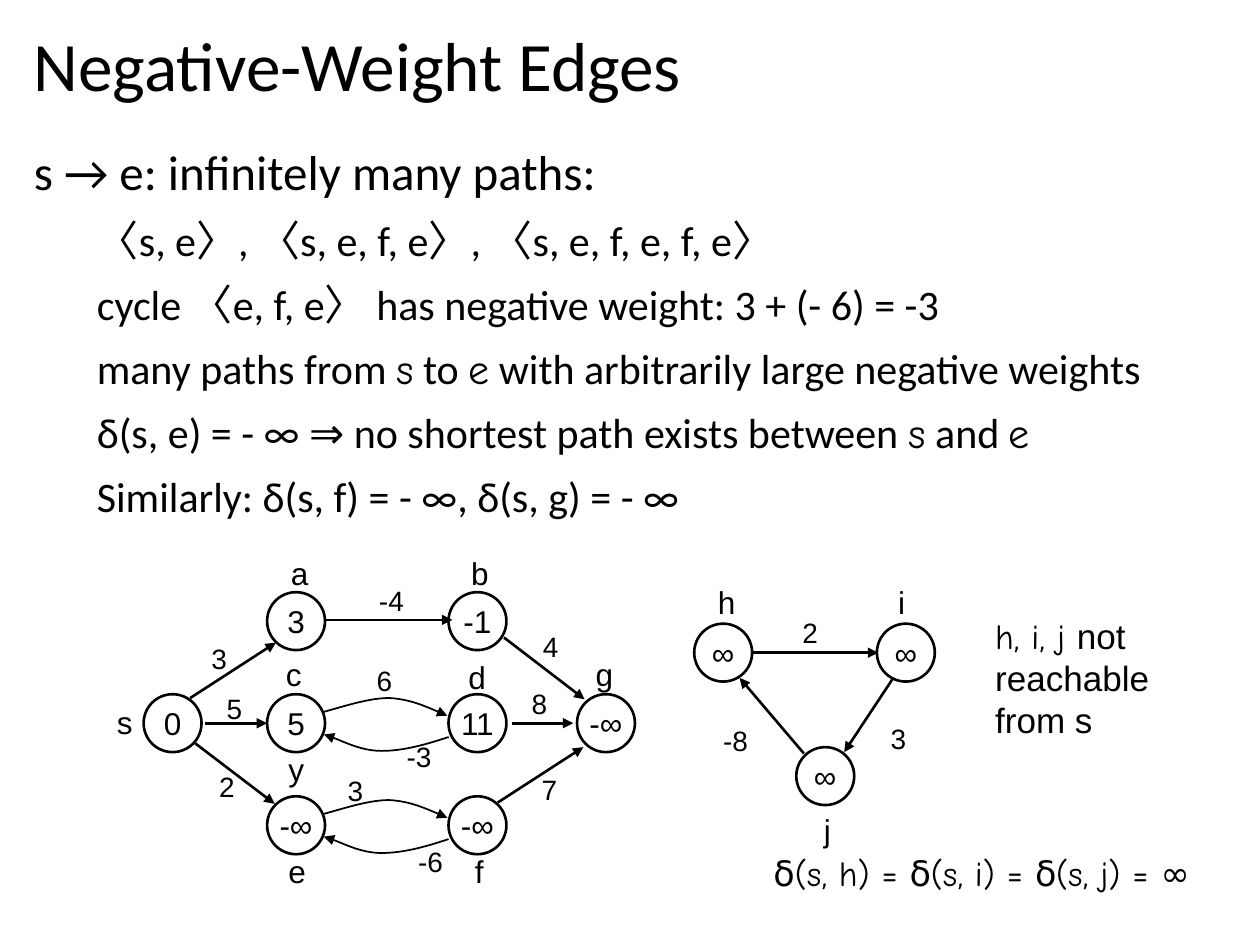
from dataclasses import dataclass

from lxml import etree
from pptx import Presentation
from pptx.dml.color import RGBColor
from pptx.enum.shapes import MSO_CONNECTOR, MSO_SHAPE
from pptx.enum.text import MSO_ANCHOR, MSO_AUTO_SIZE, PP_ALIGN
from pptx.oxml.ns import qn
from pptx.util import Inches, Pt

STRAIGHT = MSO_CONNECTOR.STRAIGHT
OVAL = MSO_SHAPE.OVAL
MIDDLE = MSO_ANCHOR.MIDDLE
TOP = MSO_ANCHOR.TOP
GROW = MSO_AUTO_SIZE.SHAPE_TO_FIT_TEXT
FIXED = MSO_AUTO_SIZE.NONE
CENTER = PP_ALIGN.CENTER

INK = "000000"
SANS, BODY, HAND = "Arial", "Calibri", "Comic Neue"
NODE_SIZE = 0.46
ROW_GAP = 0.81


@dataclass
class Node:
    value: str
    left: float
    top: float


@dataclass
class Label:
    text: str
    left: float
    top: float
    width: float


@dataclass
class Edge:
    start: tuple[float, float]
    end: tuple[float, float]


@dataclass
class Span:
    text: str
    font: str = BODY


LEFT, MID, RIGHT = 2.12, 3.56, 4.58
UPPER, CENTRE, LOWER = (4.7 + ROW_GAP * row for row in range(3))

NODES = [
    Node("∞", 5.51, 4.95), Node("∞", 6.96, 4.95), Node("∞", 6.32, 5.93),
    Node("0", 1.14, CENTRE), Node("3", LEFT, UPPER), Node("-1", MID, UPPER),
    Node("5", LEFT, CENTRE), Node("11", MID, CENTRE), Node("-∞", RIGHT, CENTRE),
    Node("-∞", LEFT, LOWER), Node("-∞", MID, LOWER),
]
NAMES = [
    Label("j", 6.44, 6.39, 0.26), Label("h", 5.6, 4.58, 0.34), Label("i", 7.03, 4.58, 0.26),
    Label("s", 0.83, 5.53, 0.33), Label("a", 2.21, 4.35, 0.34), Label("b", 3.64, 4.35, 0.34),
    Label("e", 2.19, 6.71, 0.34), Label("f", 3.67, 6.71, 0.27), Label("y", 2.19, 5.9, 0.33),
    Label("c", 2.17, 5.15, 0.33), Label("d", 3.62, 5.17, 0.34), Label("g", 4.63, 5.15, 0.34),
]
WEIGHTS = [
    Label("2", 6.27, 4.84, 0.32), Label("3", 6.97, 5.68, 0.32), Label("-8", 5.64, 5.69, 0.4),
    Label("3", 1.58, 5.04, 0.32), Label("-4", 2.91, 4.58, 0.4), Label("2", 1.64, 6.06, 0.32),
    Label("8", 4.12, 5.4, 0.32), Label("-6", 3.22, 6.65, 0.4), Label("-3", 3.13, 5.82, 0.4),
    Label("3", 2.66, 6.09, 0.32), Label("5", 1.7, 5.44, 0.32), Label("6", 2.89, 5.22, 0.32),
    Label("4", 4.21, 4.95, 0.32), Label("7", 4.2, 6.08, 0.32),
]
EDGES = [
    Edge((5.96, 5.18), (6.97, 5.18)), Edge((7.09, 5.38), (6.7, 5.97)),
    Edge((6.38, 5.98), (5.87, 5.38)), Edge((2.58, 4.92), (3.59, 4.92)),
    Edge((1.51, 5.54), (2.19, 5.1)), Edge((1.55, 5.9), (2.18, 6.38)),
    Edge((4, 5.06), (4.64, 5.55)), Edge((3.95, 6.37), (4.63, 5.93)),
    Edge((1.63, 5.74), (2.12, 5.74)), Edge((4.06, 5.74), (4.55, 5.74)),
]
CURVES = [
    [(2.57, 5.65), (2.75, 5.6), (2.93, 5.54), (3.09, 5.54),
     (3.26, 5.55), (3.48, 5.65), (3.55, 5.68)],
    [(3.56, 5.85), (3.38, 5.91), (3.2, 5.96), (3.03, 5.96),
     (2.87, 5.96), (2.65, 5.85), (2.57, 5.83)],
]
POINTS = [
    [Span("〈s, e〉, 〈s, e, f, e〉, 〈s, e, f, e, f, e〉")],
    [Span("cycle 〈e, f, e〉 has negative weight: 3 + (- 6) = -3")],
    [Span("many paths from "), Span("s", HAND), Span(" to "), Span("e", HAND),
     Span(" with arbitrarily large negative weights")],
    [Span("δ(s, e) = - ∞ ⇒ no shortest path exists between "), Span("s", HAND),
     Span(" and "), Span("e", HAND)],
    [Span("Similarly: δ(s, f) = - ∞, δ(s, g) = - ∞")],
]


def colour(value: str) -> RGBColor:
    return RGBColor.from_string(value)


def apply(target, values: dict) -> None:
    for name, value in values.items():
        setattr(target, name, value)


def write(para, spans: list[Span], size: float, **layout) -> None:
    apply(para, layout)
    for span in spans:
        run = para.add_run()
        run.text = span.text
        apply(run.font, {"name": span.font, "size": Pt(size)})
        run.font.color.rgb = colour(INK)
        props = run.font._element
        for tag in ("a:ea", "a:cs"):
            etree.SubElement(props, qn(tag)).set("typeface", span.font)


def add_box(page, left: float, top: float, width: float, height: float, **frame_format):
    box = page.shapes.add_textbox(Inches(left), Inches(top), Inches(width), Inches(height))
    apply(box.text_frame, {"word_wrap": False, "auto_size": GROW, **frame_format})
    return box.text_frame


def add_label(page, label: Label, size: float, height: float) -> None:
    frame = add_box(page, label.left, label.top, label.width, height)
    write(frame.paragraphs[0], [Span(label.text, SANS)], size)


def add_node(page, node: Node) -> None:
    circle = page.shapes.add_shape(
        OVAL, Inches(node.left), Inches(node.top), Inches(NODE_SIZE), Inches(NODE_SIZE))
    circle.shadow.inherit = False
    circle.fill.background()
    circle.line.color.rgb = colour(INK)
    circle.line.width = Pt(1.5)
    frame = circle.text_frame
    apply(frame, {"word_wrap": False, "vertical_anchor": MIDDLE})
    write(frame.paragraphs[0], [Span(node.value, SANS)], 18, alignment=CENTER)


def style_arrow(line, width: float) -> None:
    line.color.rgb = colour(INK)
    line.width = Pt(width)
    etree.SubElement(line._get_or_add_ln(), qn("a:tailEnd")).set("type", "triangle")


def add_edge(page, edge: Edge) -> None:
    ends = [Inches(value) for value in (*edge.start, *edge.end)]
    arrow = page.shapes.add_connector(STRAIGHT, *ends)
    style_arrow(arrow.line, 1.5)
    etree.SubElement(arrow._element.spPr, qn("a:effectLst"))


def add_curve(page, points: list[tuple[float, float]], drop: float) -> None:
    start, *rest = [(Inches(x), Inches(y + drop)) for x, y in points]
    builder = page.shapes.build_freeform(*start)
    builder.add_line_segments(rest, close=False)
    curve = builder.convert_to_shape()
    curve.shadow.inherit = False
    curve.fill.background()
    style_arrow(curve.line, 1)
    segments = list(curve._element.iter(qn("a:lnTo")))
    outline = segments[0].getparent()
    for first in range(0, len(segments), 3):
        bezier = etree.SubElement(outline, qn("a:cubicBezTo"))
        for segment in segments[first:first + 3]:
            bezier.append(segment[0])
            outline.remove(segment)


def add_body(page) -> None:
    frame = add_box(page, 0.17, 1.03, 9.62, 5.73, word_wrap=True, auto_size=FIXED,
                    vertical_anchor=TOP)
    write(frame.paragraphs[0], [Span("s → e: infinitely many paths:")], 28,
          line_spacing=1.1, space_before=Pt(10))
    for spans in POINTS:
        para = frame.add_paragraph()
        write(para, spans, 24, level=1, line_spacing=1.1, space_before=Pt(5))
        apply_indent = para._p.get_or_add_pPr().set
        apply_indent("marL", str(Inches(0.5)))
        apply_indent("indent", "0")


def main() -> None:
    deck = Presentation()
    apply(deck, {"slide_width": Inches(10), "slide_height": Inches(7.5)})
    page = deck.slides.add_slide(deck.slide_layouts[6])
    for node in NODES:
        add_node(page, node)
    for edge in EDGES:
        add_edge(page, edge)
    for drop in (0, ROW_GAP):
        for points in CURVES:
            add_curve(page, points, drop)
    for labels, size, height in ((NAMES, 18, 0.4), (WEIGHTS, 16, 0.37)):
        for label in labels:
            add_label(page, label, size, height)
    title = add_box(page, 0.17, 0.18, 9.62, 0.74, word_wrap=True, auto_size=FIXED,
                    vertical_anchor=MIDDLE)
    write(title.paragraphs[0], [Span("Negative-Weight Edges")], 39.6, line_spacing=0.9)
    add_body(page)
    formula = add_box(page, 6.04, 6.71, 3.59, 0.43)
    write(formula.paragraphs[0], [Span("δ(s, h) = δ(s, i) = δ(s, j) = ∞", HAND)], 20)
    remark = add_box(page, 7.8, 4.83, 1.42, 1.1)
    write(remark.paragraphs[0], [Span("h, i, j ", HAND), Span("not", SANS)], 20)
    for text in ("reachable", "from s"):
        write(remark.add_paragraph(), [Span(text, SANS)], 20)
    deck.save("out.pptx")


if __name__ == "__main__":
    main()
